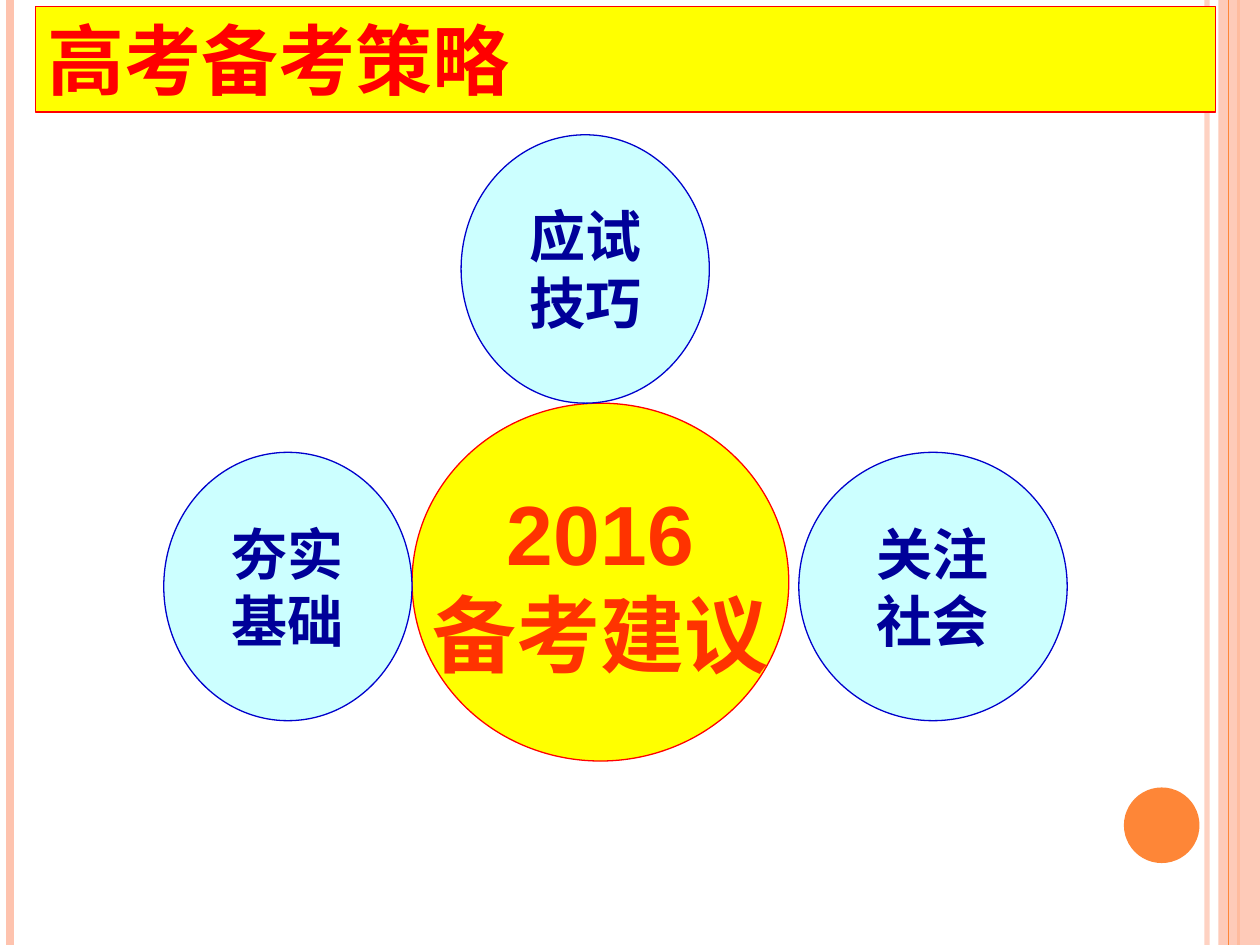
from lxml.etree import SubElement
from pptx import Presentation
from pptx.dml.color import RGBColor
from pptx.enum.shapes import MSO_CONNECTOR, MSO_SHAPE
from pptx.enum.text import MSO_ANCHOR, MSO_AUTO_SIZE, PP_ALIGN
from pptx.oxml.ns import qn
from pptx.util import Inches, Pt


class Theme:
    font = "Arial"
    peach = RGBColor.from_string("FEC3AE")
    orange = RGBColor.from_string("FE8637")
    yellow = RGBColor.from_string("FFFF00")
    red = RGBColor.from_string("FF0000")
    vermilion = RGBColor.from_string("FF3300")
    pale_cyan = RGBColor.from_string("CCFFFF")
    blue = RGBColor.from_string("0000CC")
    navy = RGBColor.from_string("000099")
    title_size = Pt(44)
    hub_size = Pt(48)
    topic_size = Pt(32)
    outline = Pt(0.75)


def set_opacity(properties, percent):
    """Make the solid colour found inside a properties element translucent."""
    color = next(properties.iter(qn("a:srgbClr")))
    SubElement(color, qn("a:alpha")).set("val", str(percent * 1000))


def add_panel(kind, box, fill, line=None, lines=(), size=None, color=None,
              align=PP_ALIGN.CENTER):
    """Add a flat filled shape with one bold paragraph for each of lines."""
    panel = slide.shapes.add_shape(kind, *(Inches(v) for v in box))
    panel.shadow.inherit = False
    panel.fill.solid()
    panel.fill.fore_color.rgb = fill
    if line is None:
        panel.line.fill.background()
    else:
        panel.line.color.rgb = line
        panel.line.width = Theme.outline
    frame = panel.text_frame
    for index, words in enumerate(lines):
        paragraph = frame.add_paragraph() if index else frame.paragraphs[0]
        paragraph.alignment = align
        run = paragraph.add_run()
        run.text = words
        run.font.name = Theme.font
        run.font.size = size
        run.font.bold = True
        run.font.color.rgb = color
    return panel


presentation = Presentation()
presentation.slide_width = Inches(10)
presentation.slide_height = Inches(7.5)
slide = presentation.slides.add_slide(presentation.slide_layouts[6])

# Side stripes: x, colour, width in points, opacity; None is the wide band
stripes = [
    (9.58, Theme.peach, 3, 75),
    (0.08, Theme.peach, 4.5, 100),
    (9.83, Theme.orange, 1.5, 100),
    None,
    (9.75, Theme.orange, 0.75, 100),
]
for stripe in stripes:
    if stripe is None:
        band = add_panel(MSO_SHAPE.RECTANGLE, (9.67, 0, 0.33, 7.5), Theme.peach)
        set_opacity(band.fill._xPr, 87)
        continue
    x, color, width, opacity = stripe
    rule = slide.shapes.add_connector(
        MSO_CONNECTOR.STRAIGHT, Inches(x), 0, Inches(x), Inches(7.5))
    rule.line.color.rgb = color
    rule.line.width = Pt(width)
    if opacity < 100:
        set_opacity(rule.line.fill._xPr, opacity)
    SubElement(rule._element.spPr, qn("a:effectLst"))

add_panel(MSO_SHAPE.OVAL, (8.92, 6.25, 0.6, 0.6), Theme.orange)

# Central advice circle with three topics around it
hub_style = (Theme.yellow, Theme.red)
topic_style = (Theme.pale_cyan, Theme.blue)
hub_text = (Theme.hub_size, Theme.vermilion)
topic_text = (Theme.topic_size, Theme.navy)
circles = [
    ((3.27, 3.2, 2.99, 2.84), hub_style, ("2016", "备考建议"), hub_text),
    ((6.34, 3.59, 2.13, 2.13), topic_style, ("关注", "社会"), topic_text),
    ((3.66, 1.07, 1.97, 2.13), topic_style, ("应试", "技巧"), topic_text),
    ((1.3, 3.59, 1.97, 2.13), topic_style, ("夯实", "基础"), topic_text),
]
for box, (fill, line), lines, (size, color) in circles:
    circle = add_panel(MSO_SHAPE.OVAL, box, fill, line, lines, size, color)
    circle.text_frame.word_wrap = False
    circle.text_frame.vertical_anchor = MSO_ANCHOR.MIDDLE

title = add_panel(MSO_SHAPE.RECTANGLE, (0.28, 0.05, 9.37, 0.84), Theme.yellow,
                  Theme.red, ("高考备考策略",), Theme.title_size, Theme.red,
                  PP_ALIGN.LEFT)
title.text_frame.word_wrap = True
title.text_frame.vertical_anchor = MSO_ANCHOR.TOP
title.text_frame.auto_size = MSO_AUTO_SIZE.SHAPE_TO_FIT_TEXT

presentation.save("out.pptx")
